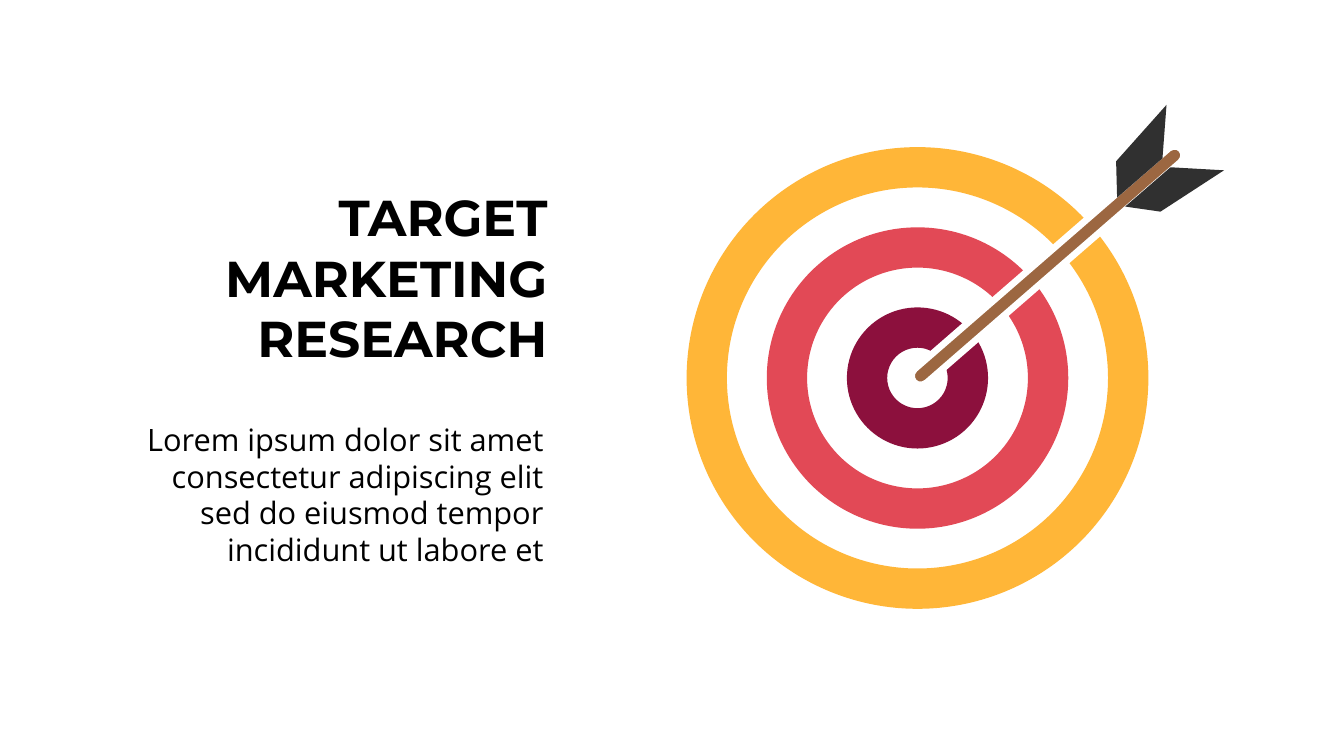
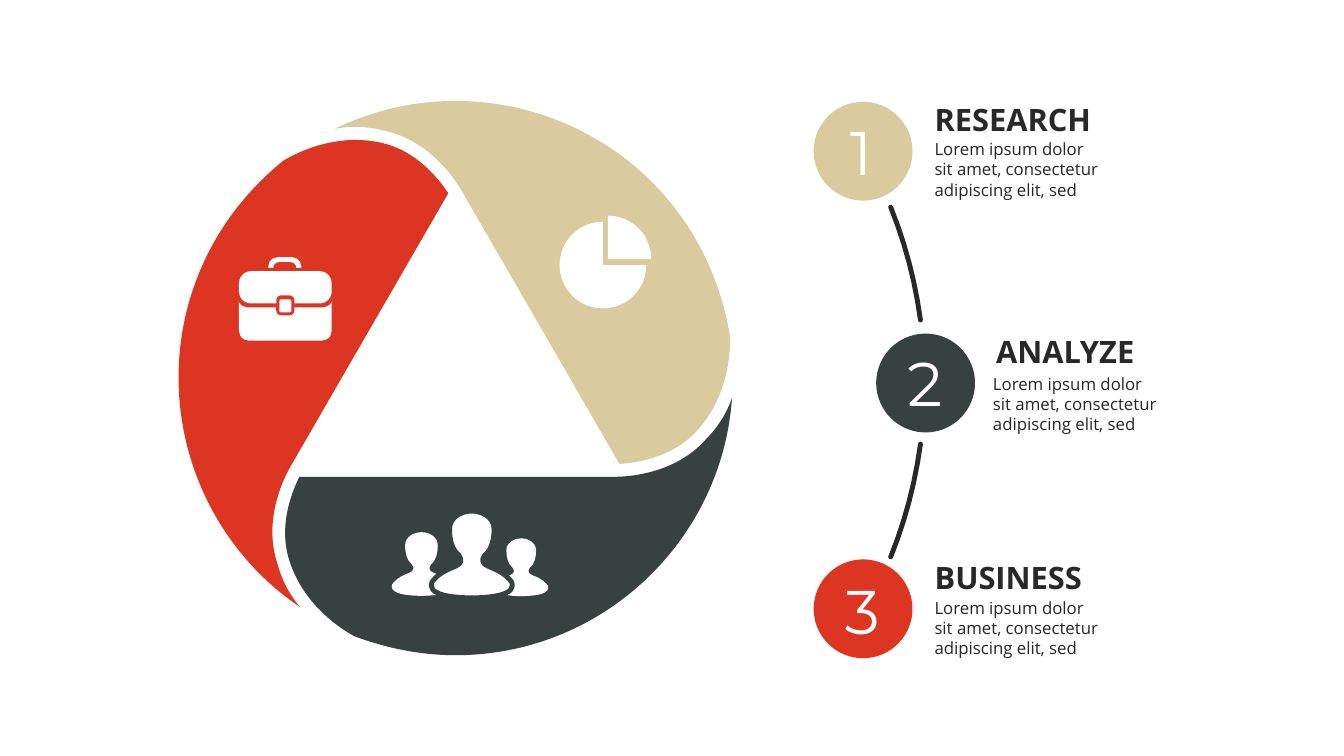
from math import atan2, cos, degrees, hypot, radians, sin

from lxml import etree
from pptx import Presentation
from pptx.dml.color import RGBColor
from pptx.enum.shapes import MSO_SHAPE
from pptx.enum.text import MSO_ANCHOR, MSO_AUTO_SIZE, PP_ALIGN
from pptx.oxml.ns import qn
from pptx.util import Inches, Pt

COLORS = {
    "white": "FFFFFF", "black": "000000", "ink": "282828", "body": "262626",
    "amber": "FFB638", "coral": "E24956", "wine": "8C103D",
    "wood": "9C6741", "feather": "303030",
    "sand": "D9CB9E", "slate": "374140", "red": "DC3522",
}
HEADING_FONT, BODY_FONT = "Montserrat", "Open Sans"

presentation = Presentation()
presentation.slide_width = Inches(13.33)
presentation.slide_height = Inches(7.5)


def paint(shape, color, line=None, line_width=0):
    """Flat fill, with an optional outline."""
    shape.shadow.inherit = False
    if color:
        shape.fill.solid()
        shape.fill.fore_color.rgb = RGBColor.from_string(COLORS[color])
    else:
        shape.fill.background()
    if line:
        shape.line.color.rgb = RGBColor.from_string(COLORS[line])
        shape.line.width = Pt(line_width)
    else:
        shape.line.fill.background()


def write(shape, text, size, font, color, bold=False, align=PP_ALIGN.LEFT, inset=(0.1, 0.05)):
    """Text with one style, set from the top of its box."""
    frame = shape.text_frame
    frame.text = text
    frame.word_wrap = True
    frame.auto_size = MSO_AUTO_SIZE.NONE
    frame.vertical_anchor = MSO_ANCHOR.TOP
    frame.margin_left = frame.margin_right = Inches(inset[0])
    frame.margin_top = frame.margin_bottom = Inches(inset[1])
    for paragraph in frame.paragraphs:
        paragraph.alignment = align
        for run in paragraph.runs:
            run.font.size = Pt(size)
            run.font.name = font
            run.font.bold = bold
            run.font.color.rgb = RGBColor.from_string(COLORS[color])


# Slide 1: target
slide = presentation.slides.add_slide(presentation.slide_layouts[5])
shapes = slide.shapes

title = shapes.title
title.left, title.top, title.width, title.height = [Inches(n) for n in (1.3, 1.8, 4.23, 1.92)]
write(title, "TARGET\nMARKETING\nRESEARCH", 36, HEADING_FONT, "black", True, PP_ALIGN.RIGHT)

summary = shapes.add_textbox(Inches(1.26), Inches(4.12), Inches(4.23), Inches(1.58))
write(summary, "Lorem ipsum dolor sit amet consectetur adipiscing elit "
      "sed do eiusmod tempor incididunt ut labore et",
      22, BODY_FONT, "black", align=PP_ALIGN.RIGHT)

# Rings share a centre and a thickness
TARGET_X, TARGET_Y, RING = 9.1, 3.75, 0.4
for diameter, color in ((4.58, "amber"), (2.99, "coral"), (1.4, "wine")):
    ring = shapes.add_shape(MSO_SHAPE.DONUT, Inches(TARGET_X - diameter / 2),
                            Inches(TARGET_Y - diameter / 2), Inches(diameter), Inches(diameter))
    ring.adjustments[0] = RING / diameter
    paint(ring, color)

# Arrow shaft between its two round ends
tip_x, tip_y, end_x, end_y, thickness = 9.13, 3.73, 11.65, 1.54, 0.18
length = hypot(end_x - tip_x, end_y - tip_y) + thickness
shaft = shapes.add_shape(MSO_SHAPE.ROUNDED_RECTANGLE,
                         Inches((tip_x + end_x - length) / 2),
                         Inches((tip_y + end_y - thickness) / 2),
                         Inches(length), Inches(thickness))
shaft.adjustments[0] = 0.5
shaft.rotation = degrees(atan2(end_y - tip_y, end_x - tip_x))
paint(shaft, "wood", "white", 4.75)

# Arrow feathers
for feather_points in (
    [(11.16, 2.05), (11.51, 2.1), (12.14, 1.69), (11.61, 1.66)],
    [(11.08, 1.96), (11.07, 1.6), (11.57, 1.04), (11.53, 1.57)],
):
    corners = [(Inches(x), Inches(y)) for x, y in feather_points]
    builder = shapes.build_freeform(*corners[0], scale=1.0)
    builder.add_line_segments(corners[1:], close=True)
    paint(builder.convert_to_shape(), "feather")

# Slide 2: wheel and steps
slide = presentation.slides.add_slide(presentation.slide_layouts[6])
shapes = slide.shapes
WHEEL_X, WHEEL_Y = 4.52, 3.75

# Bezier control points: a start, then three points for each curve
blade = [
    (7, 4.36), (6.69, 4.71), (6.21, 4.73), (6.1, 4.73),
    (5, 4.73), (4, 4.73), (2.97, 4.73),
    (2.92, 4.83), (2.75, 5.19), (2.87, 5.56),
    (3.03, 6.07), (3.5, 6.3), (3.51, 6.31),
    (3.83, 6.43), (4.17, 6.5), (4.52, 6.5),
    (5.97, 6.5), (7.16, 5.37), (7.26, 3.95),
    (7.21, 4.09), (7.13, 4.23), (7, 4.36),
]
half_person = [
    (0, 0), (0.1, 0), (0.21, 0.06), (0.21, 0.17),
    (0.21, 0.27), (0.19, 0.36), (0.12, 0.42),
    (0.09, 0.46), (0.1, 0.5), (0.15, 0.52),
    (0.22, 0.55), (0.3, 0.58), (0.36, 0.65),
    (0.39, 0.67), (0.4, 0.74), (0.33, 0.77),
    (0.26, 0.81), (0.1, 0.82), (0, 0.82),
]
person = half_person + [(-x, y) for x, y in reversed(half_person[:-1])]

# Each outline is (points, fill, line, line width); blades turn by a third
outlines = []
for turn, color in ((0, "slate"), (120, "red"), (240, "sand")):
    cosine, sine = cos(radians(turn)), sin(radians(turn))
    outlines.append((
        [(WHEEL_X + (x - WHEEL_X) * cosine - (y - WHEEL_Y) * sine,
          WHEEL_Y + (x - WHEEL_X) * sine + (y - WHEEL_Y) * cosine) for x, y in blade],
        color, None, 0))

# People: the middle one stands in front, with a slate edge around it
for center, top, scale, line in (
    (4.18, 5.28, 0.77, None),
    (5.17, 5.34, 0.7, None),
    (4.68, 5.07, 1.05, "slate"),
):
    outlines.append(([(center + x * scale, top + y * scale) for x, y in person],
                     "white", line, 3.5))

for points, color, line, line_width in outlines:
    corners = [(Inches(x), Inches(y)) for x, y in points]
    builder = shapes.build_freeform(*corners[0], scale=1.0)
    builder.add_line_segments(corners[1:], close=True)
    outline = builder.convert_to_shape()
    paint(outline, color, line, line_width)
    # Join each three segments into one curve
    geometry = outline.element.spPr.find(".//" + qn("a:path"))
    segments = geometry.findall(qn("a:lnTo"))
    for first in range(0, len(segments), 3):
        curve = etree.Element(qn("a:cubicBezTo"))
        segments[first].addprevious(curve)
        for segment in segments[first:first + 3]:
            curve.append(segment[0])
            geometry.remove(segment)

# Briefcase: handle, body, flap and clasp
for left, top, width, height, radius, color in (
    (2.66, 2.55, 0.33, 0.2, 0.1, "white"),
    (2.71, 2.6, 0.23, 0.15, 0.06, "red"),
    (2.64, 2.66, 0.37, 0.1, 0, "red"),
    (2.37, 2.8, 0.92, 0.58, 0.1, "white"),
    (2.36, 2.69, 0.94, 0.36, 0.1, "red"),
    (2.37, 2.69, 0.92, 0.32, 0.12, "white"),
    (2.74, 2.93, 0.18, 0.2, 0.05, "red"),
    (2.77, 2.97, 0.12, 0.13, 0.02, "white"),
):
    part = shapes.add_shape(MSO_SHAPE.ROUNDED_RECTANGLE, Inches(left), Inches(top),
                            Inches(width), Inches(height))
    part.adjustments[0] = radius / min(width, height)
    paint(part, color)

# Pie: three quarters, and one quarter pulled out (162 stands for 270 degrees)
PIE_RADIUS = 0.43
for center_x, center_y, start, end in ((5.98, 2.63, 0, 162), (6.03, 2.57, 162, 0)):
    pie = shapes.add_shape(MSO_SHAPE.PIE, Inches(center_x - PIE_RADIUS),
                           Inches(center_y - PIE_RADIUS),
                           Inches(2 * PIE_RADIUS), Inches(2 * PIE_RADIUS))
    pie.adjustments[0], pie.adjustments[1] = start, end
    paint(pie, "white")

# Links follow one arc around the wheel's centre
LINK_RADIUS, LINK_Y, LINK_STEPS = 4.65, 3.79, 6
for start, end in ((-21.9, -7.6), (7.6, 21.9)):
    angles = [radians(start + (end - start) * step / LINK_STEPS)
              for step in range(LINK_STEPS + 1)]
    corners = [(Inches(WHEEL_X + LINK_RADIUS * cos(angle)),
                Inches(LINK_Y + LINK_RADIUS * sin(angle))) for angle in angles]
    builder = shapes.build_freeform(*corners[0], scale=1.0)
    builder.add_line_segments(corners[1:], close=False)
    link = builder.convert_to_shape()
    paint(link, None, "ink", 3.5)
    link.element.spPr.find(qn("a:ln")).set("cap", "rnd")

# Steps: circle corner, number corner, heading left, text corner
for number, (heading, color, circle_at, number_at, heading_left, text_at) in enumerate((
    ("RESEARCH", "sand", (8.07, 1.01), (8.43, 1.13), 9.27, (9.17, 1.33)),
    ("ANALYZE", "slate", (8.69, 3.31), (9, 3.42), 9.88, (9.75, 3.66)),
    ("BUSINESS", "red", (8.07, 5.55), (8.38, 5.68), 9.27, (9.17, 5.88)),
), start=1):
    circle = shapes.add_shape(MSO_SHAPE.OVAL, Inches(circle_at[0]), Inches(circle_at[1]),
                              Inches(0.98), Inches(0.98))
    paint(circle, color)
    number_box = shapes.add_textbox(Inches(number_at[0]), Inches(number_at[1]),
                                    Inches(0.72), Inches(0.9))
    write(number_box, str(number), 44, HEADING_FONT, "white", inset=(0, 0))
    heading_box = shapes.add_textbox(Inches(heading_left), Inches(circle_at[1] - 0.01),
                                     Inches(1.72), Inches(0.38))
    write(heading_box, heading, 22, BODY_FONT, "ink", True, inset=(0, 0))
    text_box = shapes.add_textbox(Inches(text_at[0]), Inches(text_at[1]),
                                  Inches(1.85), Inches(0.71))
    write(text_box, "Lorem ipsum dolor sit amet, consectetur adipiscing elit, sed",
          12, BODY_FONT, "body")

presentation.save("out.pptx")
